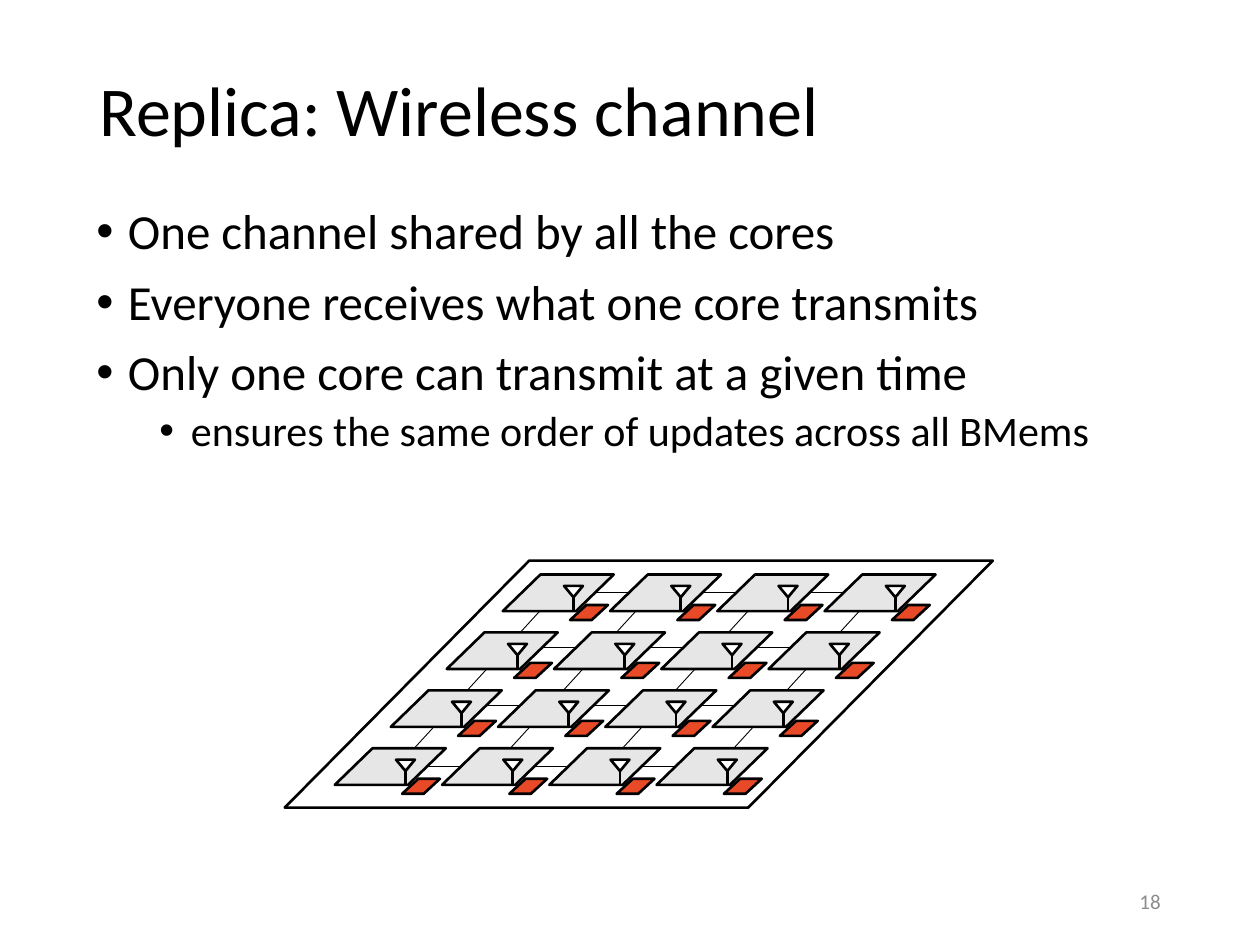
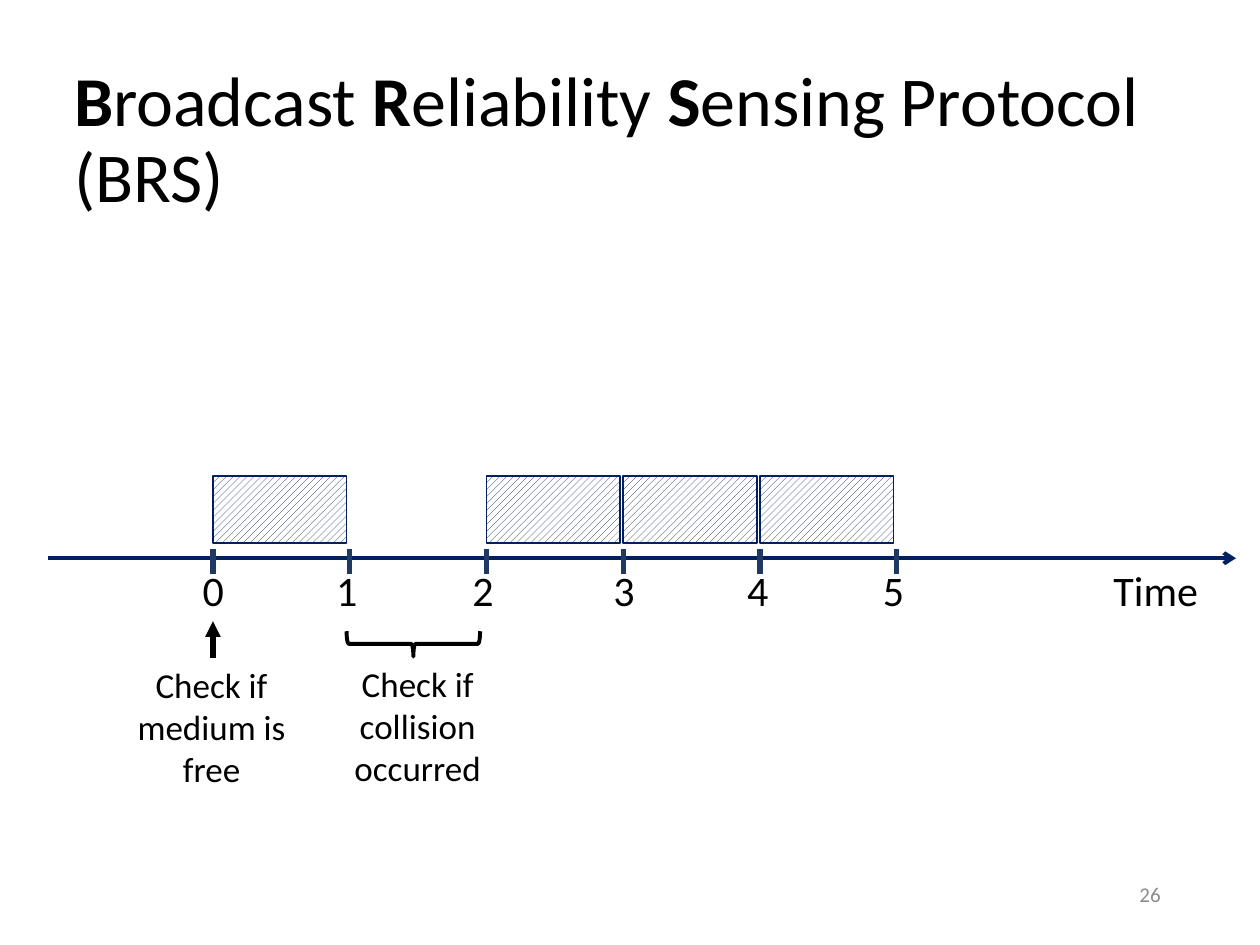
from lxml import etree
from pptx import Presentation
from pptx import util as u
from pptx.dml.color import RGBColor
from pptx.enum import dml, shapes, text
from pptx.oxml.ns import qn

Pt = u.Pt
FONT = "Calibri"
BLACK, WHITE, GREY = "000000", "FFFFFF", "8C8C8C"
TILE, CHIP, NAVY, TICK = "E7E6E6", "E84A27", "002060", "203864"
KIND = shapes.MSO_SHAPE
ALIGN = text.PP_ALIGN
MID = text.MSO_ANCHOR.MIDDLE

HEADS = [
    {"box": (49.7, 25.2, 620.6, 79.2), "runs": [("Replica: Wireless channel", False)],
     "page": "18", "foot": 500.4},
    {"box": (35.3, 28.8, 653.8, 104.4),
     "runs": [("B", True), ("roadcast ", False), ("R", True), ("eliability ", False),
              ("S", True), ("ensing Protocol (BRS)", False)],
     "page": "26", "foot": 496.8},
]
POINTS = [
    (0, "One channel shared by all the cores"),
    (0, "Everyone receives what one core transmits"),
    (0, "Only one core can transmit at a given time"),
    (1, "ensures the same order of updates across all BMems"),
]
LEVELS = [{"size": 28, "left": 18, "gap": 10}, {"size": 24, "left": 54, "gap": 5}]

BOARD = (162.7, 320.4, 404.6, 141.1)
COLS = ROWS = 4
START, STEP, SLANT, DROP = (287.3, 328.3), 61.3, -32, 33.1
DOWN = [319, 373.9, 438, 501.6]
ACROSS = [(316.1, 338.4), (288.7, 370.1), (256.3, 403.2), (226.8, 437.8)]

AXIS, ZERO, UNIT = 319, 121.7, 78.15
BUSY = [0, 2, 3, 4]
DIGITS = [108.7, 185, 262.8, 343.4, 419.8, 497.5]
NOTES = [
    ("Check if collision occurred", (180.7, 375.1, 115.9, 79.9)),
    ("Check if medium is free", (62.6, 375.8, 116.6, 79.9)),
]


def rgb(code):
    return RGBColor.from_string(code)


def place(box):
    return [Pt(v) for v in box]


def style(run, size, color=BLACK, bold=False):
    look = {"name": FONT, "size": Pt(size), "bold": bold}
    for key, val in look.items():
        setattr(run.font, key, val)
    run.font.color.rgb = rgb(color)


def write(page, box, runs, size, color=BLACK, align=ALIGN.LEFT, **frame):
    area = page.shapes.add_textbox(*place(box)).text_frame
    for key, val in {"word_wrap": True, **frame}.items():
        setattr(area, key, val)
    para = area.paragraphs[0]
    para.alignment = align
    for words, bold in runs:
        run = para.add_run()
        run.text = words
        style(run, size, color, bold)
    return para


def label(page, box, words, size, **frame):
    fit = text.MSO_AUTO_SIZE.SHAPE_TO_FIT_TEXT
    return write(page, box, [(words, False)], size, auto_size=fit, **frame)


def draw(page, kind, box, fill=None, width=1.5, color=BLACK, adj=None, turn=0):
    item = page.shapes.add_shape(kind, *place(box))
    item.shadow.inherit = False
    item.rotation = turn
    if adj:
        item.adjustments[0] = adj
    if fill:
        item.fill.solid()
        item.fill.fore_color.rgb = rgb(fill)
    else:
        item.fill.background()
    item.line.color.rgb = rgb(color)
    item.line.width = Pt(width)
    return item


def rule(page, ends, width, color=BLACK, head=None):
    line = page.shapes.add_connector(shapes.MSO_CONNECTOR.STRAIGHT, *place(ends))
    line.line.color.rgb = rgb(color)
    line.line.width = Pt(width)
    props = line._element.spPr
    if head:
        etree.SubElement(props.find(qn("a:ln")), qn("a:tailEnd"), type=head)
    etree.SubElement(props, qn("a:effectLst"))


def start(deck, head):
    page = deck.slides.add_slide(deck.slide_layouts[6])
    title = write(page, head["box"], head["runs"], 40, vertical_anchor=MID)
    title.line_spacing = 0.9
    write(page, (508.3, head["foot"], 162, 28.8), [(head["page"], False)], 12, GREY,
          ALIGN.RIGHT, vertical_anchor=MID)
    return page


def bullets(page):
    area = page.shapes.add_textbox(*place((49.7, 115.9, 620.6, 342.7))).text_frame
    frame = {"word_wrap": True, "margin_left": Pt(5.4), "margin_right": Pt(5.4),
             "margin_top": Pt(2.7), "margin_bottom": Pt(2.7)}
    for key, val in frame.items():
        setattr(area, key, val)
    for i, (level, words) in enumerate(POINTS):
        form = LEVELS[level]
        para = area.add_paragraph() if i else area.paragraphs[0]
        para.level = level
        para.line_spacing = 0.9
        para.space_before = Pt(form["gap"] if i else 0)
        props = para._p.get_or_add_pPr()
        props.set("marL", str(Pt(form["left"])))
        props.set("indent", str(Pt(-18)))
        etree.SubElement(props, qn("a:buFont"), typeface="Arial")
        etree.SubElement(props, qn("a:buChar"), char="•")
        run = para.add_run()
        run.text = words
        style(run, form["size"])


def core(page, x, y):
    draw(page, KIND.PARALLELOGRAM, (x, y, 63.4, 20.9), TILE, adj=1.03)
    draw(page, KIND.PARALLELOGRAM, (x + 38.5, y + 17.4, 21.6, 8.6), CHIP, adj=1.08)
    rule(page, (x + 40.4, y + 20.6, x + 40.4, y + 13), 1.5)
    draw(page, KIND.ISOSCELES_TRIANGLE, (x + 35, y + 6.5, 10.8, 6.5), WHITE, turn=180)


def channel(deck):
    page = start(deck, HEADS[0])
    draw(page, KIND.PARALLELOGRAM, BOARD, WHITE, adj=0.99)
    for x in DOWN:
        rule(page, (x, 337.7, x - 91.8, 438), 0.5)
    for x, y in ACROSS:
        rule(page, (x + 179.3, y, x, y), 0.5)
    for row in range(ROWS):
        for col in range(COLS):
            core(page, START[0] + col * STEP + row * SLANT, START[1] + row * DROP)
    bullets(page)


def protocol(deck):
    page = start(deck, HEADS[1])
    rule(page, (27.4, AXIS, 706.3, AXIS), 2.25, NAVY, "arrow")
    for slot in BUSY:
        box = draw(page, KIND.RECTANGLE, (ZERO + slot * UNIT, 272.2, 76.3, 38.2),
                   width=1, color=NAVY)
        box.fill.patterned()
        box.fill.pattern = dml.MSO_PATTERN.WIDE_UPWARD_DIAGONAL
        box.fill.fore_color.rgb = rgb(NAVY)
        box.fill.back_color.rgb = rgb(WHITE)
    for i, left in enumerate(DIGITS):
        x = ZERO + i * UNIT
        rule(page, (x, 328.3, x, 313.9), 3, TICK)
        label(page, (left, AXIS, 26.6, 36), str(i), 24, word_wrap=False)
    label(page, (628.6, AXIS, 69.1, 36), "Time ", 24, align=ALIGN.CENTER, word_wrap=False)
    draw(page, KIND.RIGHT_BRACE, (229, 329.8, 14.4, 76.3), width=2.25, turn=90)
    for words, box in NOTES:
        label(page, box, words, 20, align=ALIGN.CENTER)
    rule(page, (ZERO, 375.8, ZERO, 355), 3, head="triangle")


def main():
    deck = Presentation()
    deck.slide_width, deck.slide_height = Pt(720), Pt(540)
    channel(deck)
    protocol(deck)
    deck.save("out.pptx")


if __name__ == "__main__":
    main()
